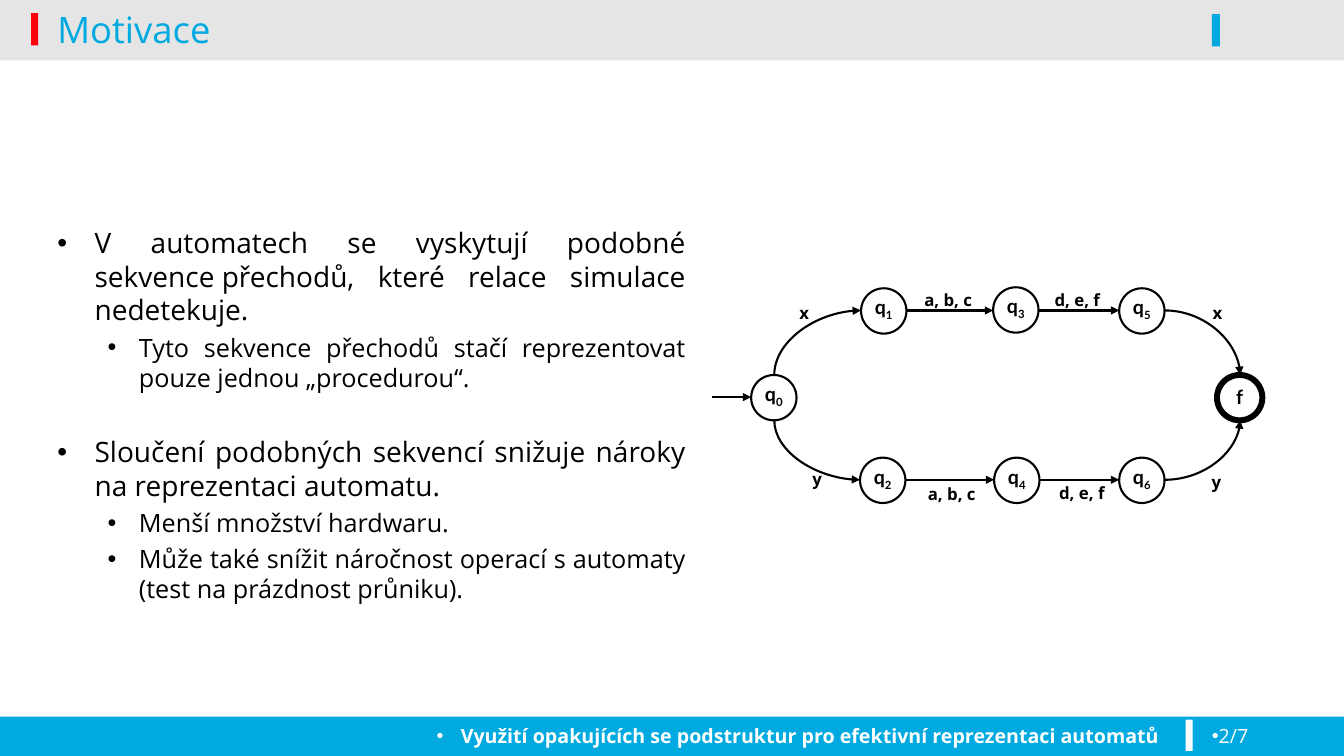
from pptx import Presentation
from pptx.dml.color import RGBColor
from pptx.enum import shapes, text
from pptx.oxml import ns
from pptx.util import Inches, Pt
from lxml import etree

BLUE, BLACK, WHITE = "00A9E0", "000000", "FFFFFF"
OPEN = "Open Sans"
ALIGN = text.PP_ALIGN
LINK = shapes.MSO_CONNECTOR

deck = Presentation()
deck.slide_width, deck.slide_height = Inches(13.33), Inches(7.5)
slide = deck.slides.add_slide(deck.slide_layouts[6])
items = slide.shapes


def color(code):
    return RGBColor.from_string(code)


def write(para, words, size, tint=BLACK, font=OPEN, bold=False, bullet=None):
    run = para.add_run()
    run.text = words
    run.font.size, run.font.name, run.font.bold = Pt(size), font, bold
    run.font.color.rgb = color(tint)
    if bullet:
        left, hang = bullet
        props = para._p.get_or_add_pPr()
        props.set("marL", str(Inches(left)))
        props.set("indent", str(Inches(-hang)))
        etree.SubElement(props, ns.qn("a:buFont")).set("typeface", "Arial")
        etree.SubElement(props, ns.qn("a:buChar")).set("char", "•")
    return run


bars = [
    (0, 7.11, 13.33, 0.39, BLUE),
    (0, 0.56, 13.33, 0.04, "E5E5E5"),
    (0, 0, 13.33, 0.56, "E5E5E5"),
    (0.31, 0.13, 0.07, 0.32, "FE000C"),
    (11.76, 7.14, 0.07, 0.31, WHITE),
    (12.02, 0.14, 0.08, 0.32, BLUE),
]
for x, y, w, h, tint in bars:
    bar = items.add_shape(shapes.MSO_SHAPE.RECTANGLE, Inches(x), Inches(y), Inches(w), Inches(h))
    bar.shadow.inherit = False
    bar.fill.solid()
    bar.fill.fore_color.rgb = color(tint)
    bar.line.fill.background()

body = items.add_textbox(Inches(0.47), Inches(2.19), Inches(6.43), Inches(3.44)).text_frame
body.word_wrap = True
points = [
    (0, 0, "V automatech se vyskytují podobné sekvence\u00a0přechodů, které relace simulace nedetekuje."),
    (1, 4, "Tyto sekvence přechodů stačí reprezentovat pouze jednou „procedurou“."),
    (0, 30, "Sloučení podobných sekvencí snižuje nároky na reprezentaci automatu."),
    (1, 4, "Menší množství hardwaru."),
    (1, 4, "Může také snížit náročnost operací s automaty (test na prázdnost průniku)."),
]
for i, (level, gap, words) in enumerate(points):
    para = body.add_paragraph() if i else body.paragraphs[0]
    para.level, para.alignment = level, ALIGN.JUSTIFY
    para.space_before, para.line_spacing = Pt(gap), 1.0
    write(para, words, 20 - 2 * level, bullet=[(0.37, 0.37), (0.81, 0.31)][level])

topic = "Využití opakujících se podstruktur pro efektivní reprezentaci automatů"
lines = [
    (0.16, 7.13, 11.44, 0.36, topic, 14, WHITE, True, ALIGN.RIGHT, (0.24, 0.24)),
    (11.92, 7.13, 1.21, 0.36, "2/7", 14, WHITE, False, ALIGN.LEFT, (0, 0)),
    (0.47, -0.11, 11.5, 0.79, "Motivace", 26, BLUE, False, ALIGN.LEFT, None),
]
for x, y, w, h, words, size, tint, bold, align, bullet in lines:
    frame = items.add_textbox(Inches(x), Inches(y), Inches(w), Inches(h)).text_frame
    frame.word_wrap = True
    if not bullet:
        frame.vertical_anchor = text.MSO_ANCHOR.MIDDLE
    frame.paragraphs[0].alignment = align
    write(frame.paragraphs[0], words, size, tint, bold=bold, bullet=bullet)

SIZE = 0.45
TOP, LOW = 3.08, 4.76
states = [
    ("q", "0", 7.45, 3.72), ("q", "1", 8.54, 2.86), ("q", "3", 9.85, 2.85),
    ("q", "5", 11.1, 2.86), ("f", "", 12.07, 3.72), ("q", "2", 8.53, 4.54),
    ("q", "4", 9.86, 4.54), ("q", "6", 11.1, 4.54),
]
for name, sub, x, y in states:
    state = items.add_shape(shapes.MSO_SHAPE.OVAL, Inches(x), Inches(y), Inches(SIZE), Inches(SIZE))
    state.shadow.inherit = False
    state.fill.solid()
    state.fill.fore_color.rgb = color(WHITE)
    state.line.color.rgb = color(BLACK)
    state.line.width = Pt(1.5 if sub else 4.25)
    frame = state.text_frame
    frame.margin_left = frame.margin_right = 0
    frame.vertical_anchor = text.MSO_ANCHOR.BOTTOM
    para = frame.paragraphs[0]
    para.alignment = ALIGN.CENTER
    write(para, name, 14, font="Lato", bold=True)
    if sub:
        run = write(para, sub, 14, font="Lato", bold=True)
        run._r.get_or_add_rPr().set("baseline", "-25000")

edges = [
    (LINK.STRAIGHT, 7.06, 3.94, 7.45, 3.94, "tailEnd"),
    (LINK.STRAIGHT, 8.99, TOP, 9.85, TOP, "tailEnd"),
    (LINK.STRAIGHT, 10.3, TOP, 11.1, TOP, "tailEnd"),
    (LINK.STRAIGHT, 8.98, LOW, 9.86, LOW, "tailEnd"),
    (LINK.STRAIGHT, 10.31, LOW, 11.1, LOW, "tailEnd"),
    (LINK.CURVE, 8.54, TOP, 7.68, 3.72, "headEnd"),
    (LINK.CURVE, 8.53, LOW, 7.68, 4.17, "headEnd"),
    (LINK.CURVE, 11.55, TOP, 12.3, 3.72, "tailEnd"),
    (LINK.CURVE, 11.55, LOW, 12.3, 4.17, "tailEnd"),
]
for kind, x, y, right, low, end in edges:
    edge = items.add_connector(kind, Inches(x), Inches(y), Inches(right), Inches(low))
    edge.line.color.rgb = color(BLACK)
    edge.line.width = Pt(1.5)
    props = edge._element.spPr
    if kind == LINK.CURVE:
        props.find(ns.qn("a:prstGeom")).set("prst", "curvedConnector2")
    etree.SubElement(edge.line._get_or_add_ln(), ns.qn("a:" + end)).set("type", "triangle")
    etree.SubElement(props, ns.qn("a:effectLst"))

labels = [
    ("a, b, c", 8.99, 2.83, 0.83), ("a, b, c", 9, 4.75, 0.88),
    ("d, e, f", 10.29, 4.74, 0.88), ("d, e, f", 10.27, 2.83, 0.83),
    ("x", 7.83, 2.95, 0.27), ("y", 7.96, 4.6, 0.27),
    ("y", 11.92, 4.63, 0.27), ("x", 11.93, 2.95, 0.27),
]
for words, x, y, w in labels:
    frame = items.add_textbox(Inches(x), Inches(y), Inches(w), Inches(0.3)).text_frame
    frame.word_wrap = False
    frame.paragraphs[0].alignment = ALIGN.CENTER
    write(frame.paragraphs[0], words, 12, bold=True)

deck.save("out.pptx")
